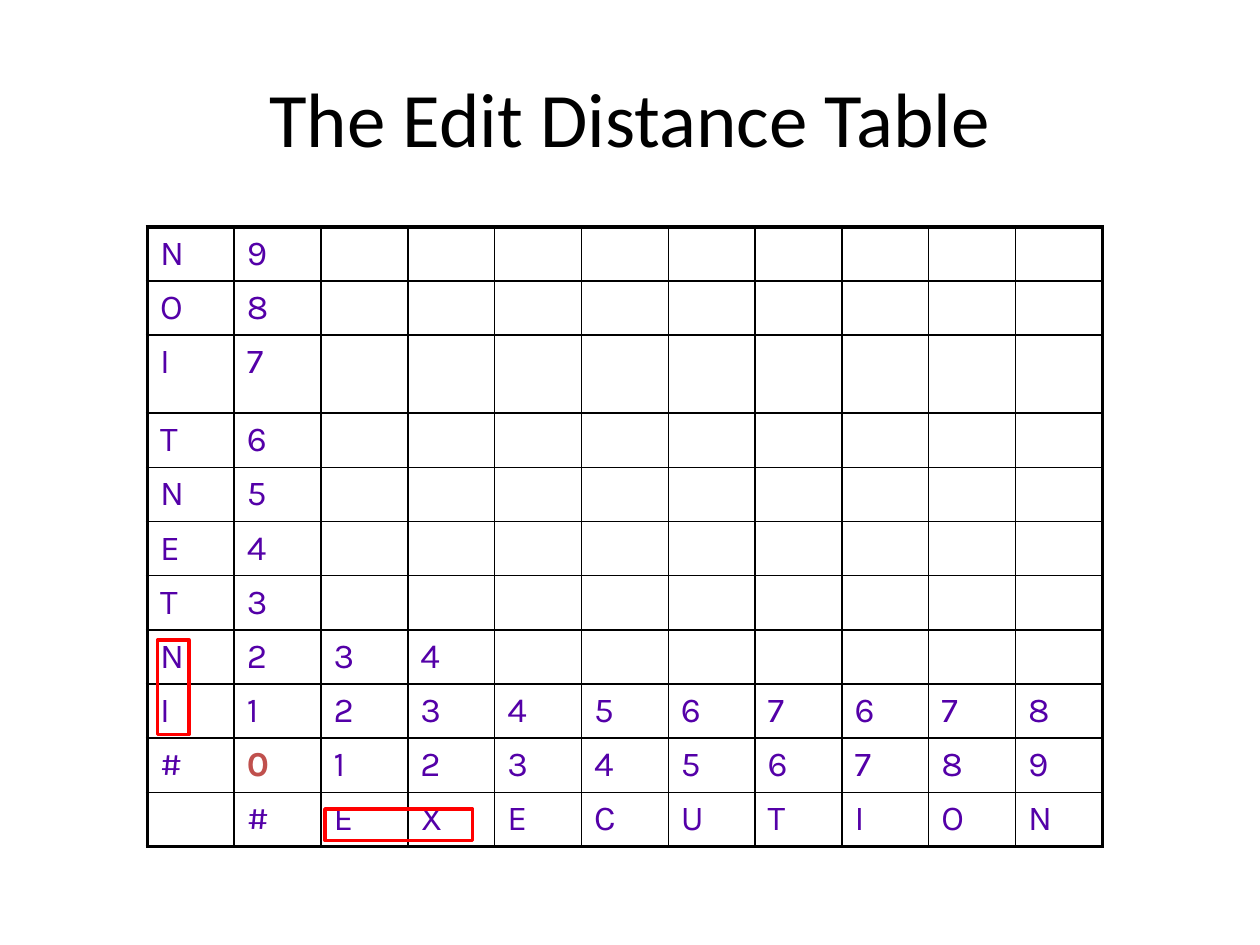
from typing import NamedTuple

from lxml import etree
from pptx import Presentation
from pptx.dml.color import RGBColor
from pptx.enum.shapes import MSO_SHAPE
from pptx.enum.text import MSO_ANCHOR, PP_ALIGN
from pptx.oxml.ns import qn
from pptx.util import Inches, Pt

RECTANGLE = MSO_SHAPE.RECTANGLE
MIDDLE = MSO_ANCHOR.MIDDLE
CENTER = PP_ALIGN.CENTER

COLORS = {
    "black": "000000",
    "letter": "5400A8",
    "origin": "C0504D",
    "highlight": "FF0000",
}

# One string per row, one character per cell
DISTANCE_ROWS = [
    "N9", "O8", "I7", "T6", "N5", "E4", "T3", "N234",
    "I1234567678", "#0123456789", " #EXECUTION",
]
COLUMN_COUNT = 11
TABLE_WIDTH = 7.58
ROW_HEIGHT = 0.43
TALL_ROW, TALL_ROW_HEIGHT = 2, 0.62
ORIGIN_CELL = (9, 1)
OUTER_BORDER, INNER_BORDER = 2.25, 1


class Box(NamedTuple):
    left: float
    top: float
    width: float
    height: float

    def lengths(self) -> list:
        return [Inches(value) for value in self]


TITLE_BOX = Box(0.5, 0.3, 9, 1.25)
TABLE_BOX = Box(1.17, 1.8, TABLE_WIDTH, 4.95)
HIGHLIGHTS = [Box(2.58, 6.42, 1.17, 0.25), Box(1.25, 5.08, 0.25, 0.75)]


def color(name: str) -> RGBColor:
    return RGBColor.from_string(COLORS[name])


def style_font(font, name: str, size: float, color_name: str, bold: bool = False) -> None:
    font.name = name
    font.size = Pt(size)
    font.bold = bold
    font.color.rgb = color(color_name)


def set_border(cell, side: str, points: float) -> None:
    properties = cell._tc.get_or_add_tcPr()
    line = etree.SubElement(properties, qn(f"a:ln{side}"), w=str(Pt(points)))
    fill = etree.SubElement(line, qn("a:solidFill"))
    etree.SubElement(fill, qn("a:srgbClr"), val=COLORS["black"])


def add_title(slide, text: str) -> None:
    frame = slide.shapes.add_textbox(*TITLE_BOX.lengths()).text_frame
    frame.word_wrap = True
    frame.vertical_anchor = MIDDLE
    paragraph = frame.paragraphs[0]
    paragraph.text = text
    paragraph.alignment = CENTER
    style_font(paragraph.font, "Calibri", 44, "black")


def add_distance_table(slide) -> None:
    row_count = len(DISTANCE_ROWS)
    table = slide.shapes.add_table(row_count, COLUMN_COUNT, *TABLE_BOX.lengths()).table
    table.first_row = False
    table.horz_banding = False
    for column in table.columns:
        column.width = Inches(TABLE_WIDTH / COLUMN_COUNT)

    for row_index, values in enumerate(DISTANCE_ROWS):
        height = TALL_ROW_HEIGHT if row_index == TALL_ROW else ROW_HEIGHT
        table.rows[row_index].height = Inches(height)
        for column_index, value in enumerate(values.ljust(COLUMN_COUNT)):
            cell = table.cell(row_index, column_index)
            paragraph = cell.text_frame.paragraphs[0]
            paragraph.text = value.strip()
            is_origin = (row_index, column_index) == ORIGIN_CELL
            style_font(paragraph.font, "Karla", 20,
                       "origin" if is_origin else "letter", is_origin)
            # Heavy lines only around the whole grid
            outer_sides = {
                "L": column_index == 0,
                "R": column_index == COLUMN_COUNT - 1,
                "T": row_index == 0,
                "B": row_index == row_count - 1,
            }
            for side, is_outer in outer_sides.items():
                set_border(cell, side, OUTER_BORDER if is_outer else INNER_BORDER)
            cell.fill.background()


def add_highlight(slide, box: Box) -> None:
    shape = slide.shapes.add_shape(RECTANGLE, *box.lengths())
    shape.shadow.inherit = False
    shape.fill.background()
    shape.line.color.rgb = color("highlight")
    shape.line.width = Pt(2)


def main() -> None:
    presentation = Presentation()
    presentation.slide_width = Inches(10)
    presentation.slide_height = Inches(7.5)
    slide = presentation.slides.add_slide(presentation.slide_layouts[6])

    # Table, heading, then the frames around the compared prefixes
    add_distance_table(slide)
    add_title(slide, "The Edit Distance Table")
    for box in HIGHLIGHTS:
        add_highlight(slide, box)

    presentation.save("out.pptx")


if __name__ == "__main__":
    main()
